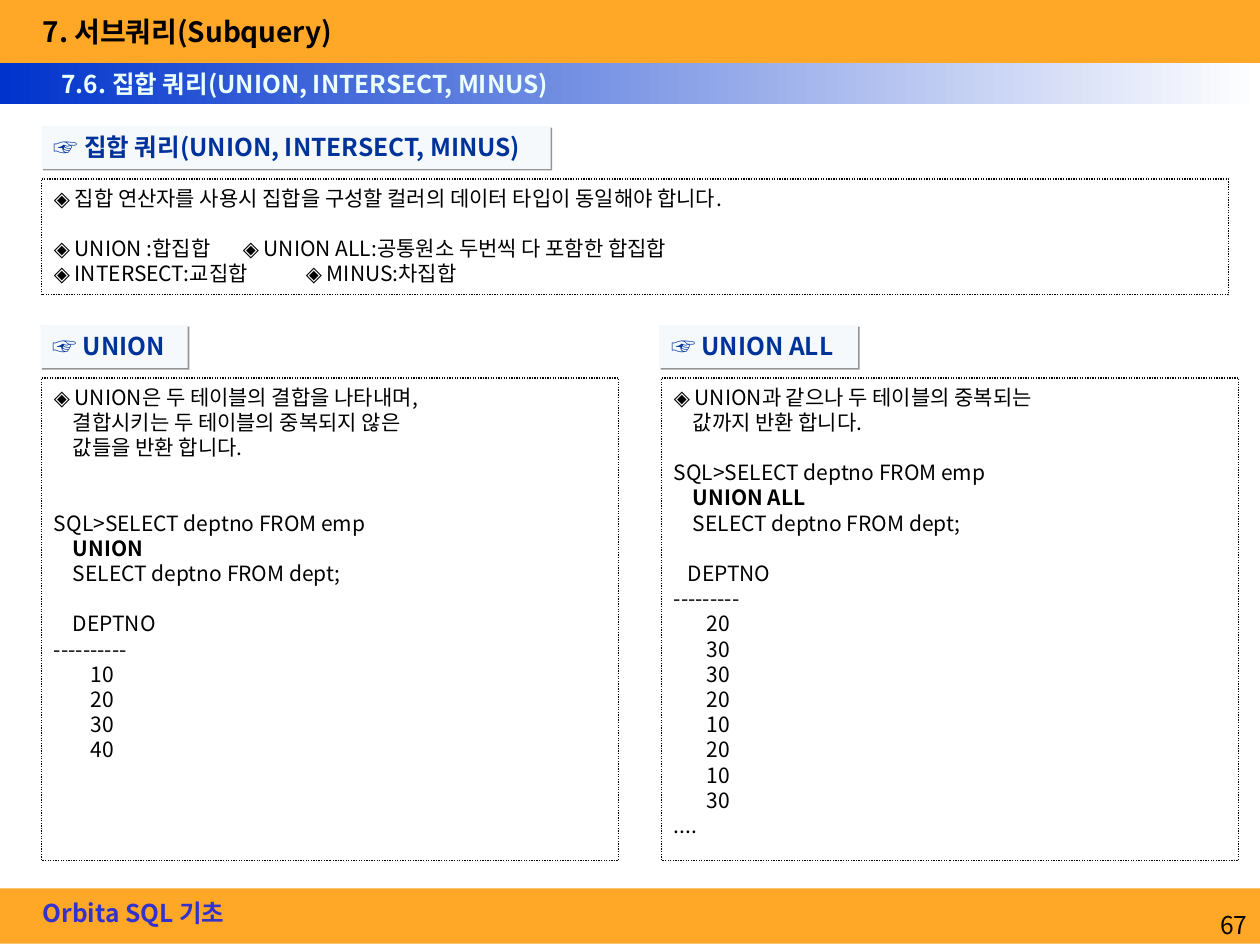
import pptx
import pptx.util
import pptx.dml.color
import pptx.enum.dml
import pptx.enum.shapes
import pptx.enum.text
import pptx.oxml.ns
from lxml import etree

Inches, Pt = pptx.util.Inches, pptx.util.Pt
RGB = pptx.dml.color.RGBColor
LEFT, RIGHT = pptx.enum.text.PP_ALIGN.LEFT, pptx.enum.text.PP_ALIGN.RIGHT

FONT = "Noto Sans CJK KR"
ORANGE = RGB(0xFF, 0xA8, 0x27)
BLUE = RGB(0x00, 0x33, 0xCC)
NAVY = RGB(0x00, 0x33, 0x99)
VIOLET = RGB(0x33, 0x33, 0xCC)
ICE = RGB(0xEB, 0xFF, 0xFF)
PALE = RGB(0xF6, 0xF9, 0xFC)
BLACK = RGB(0, 0, 0)
WHITE = RGB(0xFF, 0xFF, 0xFF)
SHADE = "949597"
LINE = 14.4  # height of one body line in points
HANG = 0.15  # indent of text under a bullet


def add_node(parent, tag, **attrs):
    return etree.SubElement(parent, pptx.oxml.ns.qn(tag), attrs)


def style(para, size, color, bold=False, align=LEFT):
    para.alignment = align
    for run in para.runs:
        font = run.font
        font.size, font.bold, font.name = Pt(size), bold, FONT
        font.color.rgb = color
        add_node(font._element, "a:ea", typeface=FONT)


def add_rect(slide, x, y, w, h):
    rect = slide.shapes.add_shape(
        pptx.enum.shapes.MSO_SHAPE.RECTANGLE,
        Inches(x), Inches(y), Inches(w), Inches(h))
    rect.shadow.inherit = False
    rect.line.fill.background()
    rect.text_frame.word_wrap = True
    rect.text_frame.vertical_anchor = pptx.enum.text.MSO_ANCHOR.TOP
    return rect


def add_bar(slide, x, y, w, h):
    bar = add_rect(slide, x, y, w, h)
    bar.fill.solid()
    bar.fill.fore_color.rgb = ORANGE


def add_text(slide, x, y, w, h, text, size, color, bold=True, align=LEFT):
    box = slide.shapes.add_textbox(Inches(x), Inches(y), Inches(w), Inches(h))
    box.text_frame.word_wrap = True
    box.text_frame.text = text
    style(box.text_frame.paragraphs[0], size, color, bold, align)


def add_header(slide, x, y, w):
    add_bar(slide, x, y, w, 0.5)
    band = add_rect(slide, x, y + 0.5, w, 0.33)
    band.fill.gradient()
    band.fill.gradient_angle = 0
    for stop, place, color in zip(band.fill.gradient_stops, (0, 1), (BLUE, WHITE)):
        stop.position = place
        stop.color.rgb = color
    add_text(slide, x + 0.24, y + 0.07, 4, 0.37, "7. 서브쿼리(Subquery)", 16, BLACK)
    add_text(slide, x + 0.39, y + 0.5, 5, 0.34,
             "7.6. 집합 쿼리(UNION, INTERSECT, MINUS)", 14, ICE)


def add_footer(slide, x, y, w):
    add_bar(slide, x, y, w, 0.44)
    add_text(slide, x + 0.24, y + 0.03, 3, 0.34, "Orbita SQL 기초", 14, VIOLET)
    add_text(slide, x + w - 2.08, y + 0.12, 2.08, 0.33, "67", 14, BLACK, False, RIGHT)


def add_label(slide, x, y, w, text):
    """Heading on a pale plate with a hard shadow."""
    label = add_rect(slide, x, y, w, 0.34)
    label.fill.solid()
    label.fill.fore_color.rgb = PALE
    effects = label._element.spPr.find(pptx.oxml.ns.qn("a:effectLst"))
    shadow = add_node(effects, "a:outerShdw", blurRad="0", dist=str(Pt(1.4)),
                      dir="2700000", algn="ctr", rotWithShape="0")
    add_node(shadow, "a:srgbClr", val=SHADE)
    label.text_frame.text = "☞ " + text
    style(label.text_frame.paragraphs[0], 14, NAVY, True)


def add_panel(slide, x, y, w, h, rows):
    """Dotted frame; a row is text, indent, lines of gap above, bold, tab stop."""
    panel = add_rect(slide, x, y, w, h)
    panel.fill.background()
    panel.line.color.rgb = BLACK
    panel.line.width = Pt(0.75)
    panel.line.dash_style = pptx.enum.dml.MSO_LINE.ROUND_DOT
    frame = panel.text_frame
    for i, (text, indent, gap, bold, tab) in enumerate(rows):
        para = frame.add_paragraph() if i else frame.paragraphs[0]
        para.text = text
        style(para, 12, BLACK, bold)
        if gap:
            para.space_before = Pt(gap * LINE)
        props = para._p.get_or_add_pPr()
        props.set("marL", str(Inches(indent)))
        props.set("indent", str(-Inches(HANG) if "\v" in text else 0))
        if tab:
            stops = add_node(props, "a:tabLst")
            add_node(stops, "a:tab", pos=str(Inches(tab)), algn="l")


def row(text, indent=0, gap=0, bold=False, tab=None):
    return text, indent, gap, bold, tab


def query(word, note, gap, head, rule, inset, values, more=()):
    """Rows of a note, its SQL statement and the listed result."""
    return [
        row(note, HANG),
        row("SQL>SELECT deptno FROM emp", gap=gap),
        row(word, HANG, bold=True),
        row("SELECT deptno FROM dept;", HANG),
        row("DEPTNO", head, 1),
        row("-" * rule),
        *(row(str(value), inset) for value in values),
        *(row(text) for text in more),
    ]


def add_topic(slide, x, y, w, h, plate, title, rows, shift=0):
    """Label with its panel below."""
    add_label(slide, x - shift, y, plate, title)
    add_panel(slide, x, y + 0.42, w, h - 0.42, rows)


def main():
    deck = pptx.Presentation()
    deck.slide_width, deck.slide_height = Inches(10), Inches(7.5)
    slide = deck.slides.add_slide(deck.slide_layouts[6])

    add_header(slide, 0, 0, 10)
    add_footer(slide, 0, 7.05, 10)

    # Overview of the set operators
    add_topic(slide, 0.33, 1, 9.42, 1.34, 4.04, "집합 쿼리(UNION, INTERSECT, MINUS)", [
        row("◈ 집합 연산자를 사용시 집합을 구성할 컬러의 데이터 타입이 동일해야 합니다."),
        row("◈ UNION :합집합\t◈ UNION ALL:공통원소 두번씩 다 포함한 합집합", gap=1, tab=1.61),
        row("◈ INTERSECT:교집합\t◈ MINUS:차집합", tab=1.77),
    ])

    # The two operators side by side
    union = query(
        "UNION",
        "◈ UNION은 두 테이블의 결합을 나타내며,\v결합시키는 두 테이블의 중복되지 않은\v값들을 반환 합니다.",
        2, HANG, 10, 0.29, (10, 20, 30, 40))
    union_all = query(
        "UNION ALL",
        "◈ UNION과 같으나 두 테이블의 중복되는\v값까지 반환 합니다.",
        1, 0.11, 9, 0.26, (20, 30, 30, 20, 10, 20, 10, 30), ["...."])
    add_topic(slide, 0.33, 2.58, 4.58, 4.25, 1.17, "UNION", union, 0.01)
    add_topic(slide, 5.25, 2.58, 4.58, 4.25, 1.58, "UNION ALL", union_all, 0.02)

    deck.save("out.pptx")


if __name__ == "__main__":
    main()
